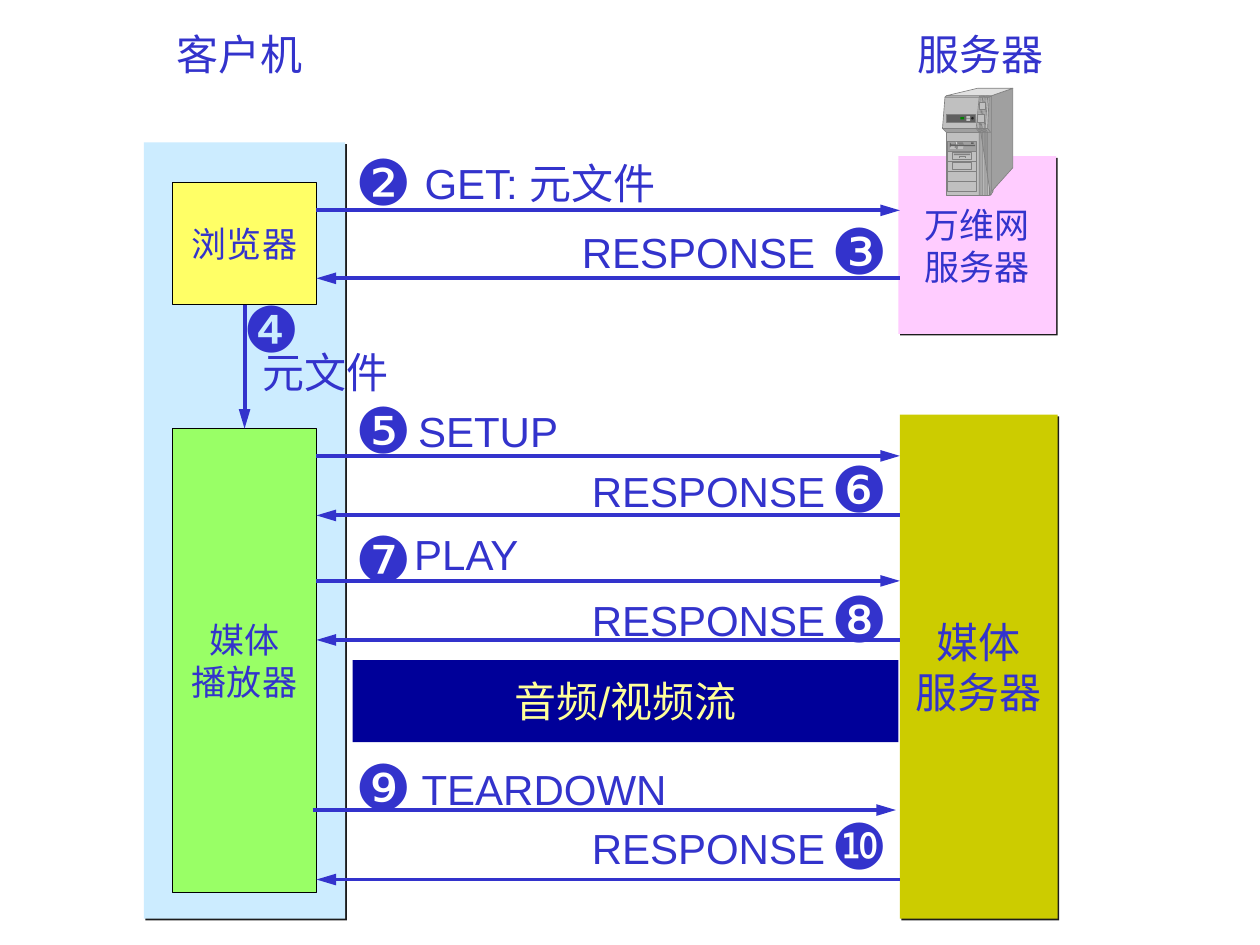
from lxml.etree import SubElement
from pptx import Presentation
from pptx.dml.color import RGBColor
from pptx.enum.shapes import MSO_CONNECTOR, MSO_SHAPE
from pptx.enum.text import MSO_ANCHOR, PP_ALIGN
from pptx.oxml.ns import qn
from pptx.util import Cm, Pt

BLUE = RGBColor(0x33, 0x33, 0xCC)
NAVY = RGBColor(0x00, 0x00, 0x99)
PALE_YELLOW = RGBColor(0xFF, 0xFF, 0x99)
YELLOW = RGBColor(0xFF, 0xFF, 0x66)
SKY = RGBColor(0xCC, 0xEC, 0xFF)
PINK = RGBColor(0xFF, 0xCC, 0xFF)
LIME = RGBColor(0x99, 0xFF, 0x66)
OLIVE = RGBColor(0xCC, 0xCC, 0x00)
BLACK = RGBColor(0x00, 0x00, 0x00)
GREEN = RGBColor(0x00, 0x80, 0x00)
INK = RGBColor(0x20, 0x20, 0x20)
DARK = RGBColor(0x60, 0x60, 0x60)
MID = RGBColor(0x80, 0x80, 0x80)
GRAY = RGBColor(0xA0, 0xA0, 0xA0)
SILVER = RGBColor(0xC0, 0xC0, 0xC0)
LIGHT = RGBColor(0xE0, 0xE0, 0xE0)


def style(sp, fill, line=None, width=0.37):
    """Give a shape its fill and outline, without a shadow."""
    sp.shadow.inherit = False
    if fill is None:
        sp.fill.background()
    else:
        sp.fill.solid()
        sp.fill.fore_color.rgb = fill
    if line is None:
        sp.line.fill.background()
    else:
        sp.line.color.rgb = line
        sp.line.width = Pt(width)


def write(sp, text, size, color=BLUE, align=PP_ALIGN.LEFT):
    """Set and format the text of a shape."""
    tf = sp.text_frame
    tf.text = text
    for p in tf.paragraphs:
        p.alignment = align
        for r in p.runs:
            r.font.name = "Arial"
            r.font.size = Pt(size)
            r.font.color.rgb = color


prs = Presentation()
prs.slide_width, prs.slide_height = Cm(25.4), Cm(19.05)
s = prs.slides.add_slide(prs.slide_layouts[6])

# Client and server blocks: left, top, width, height, fill, outline, shadow, text, size, colour
blocks = [
    (2.9, 2.87, 4.06, 15.65, SKY, None, True, "", 20, BLUE),
    (18.11, 3.15, 3.18, 3.58, PINK, None, True, "万维网\n服务器", 20, BLUE),
    (3.48, 3.68, 2.9, 2.46, YELLOW, BLACK, False, "浏览器", 20, BLUE),
    (3.48, 8.64, 2.9, 9.35, LIME, BLACK, False, "媒体\n播放器", 20, BLUE),
    (18.14, 8.36, 3.18, 10.16, OLIVE, None, True, "媒体\n服务器", 24, BLUE),
    (7.11, 13.31, 11, 1.65, NAVY, None, False, "音频/视频流", 24, PALE_YELLOW),
]
for left, top, width, height, fill, line, shadow, text, size, color in blocks:
    sp = s.shapes.add_shape(MSO_SHAPE.RECTANGLE, Cm(left), Cm(top), Cm(width), Cm(height))
    style(sp, fill, line, 0.74)
    if shadow:
        effects = sp._element.spPr.find(qn("a:effectLst"))
        outer = SubElement(effects, qn("a:outerShdw"), dist=str(Pt(1.4)), dir="2700000",
                           algn="ctr", rotWithShape="0")
        SubElement(outer, qn("a:srgbClr"), val="1C1C1C")
    if text:
        write(sp, text, size, color, PP_ALIGN.CENTER)
        sp.text_frame.word_wrap = False
        sp.text_frame.vertical_anchor = MSO_ANCHOR.MIDDLE

# Server tower, in hundredths of a centimetre from its top left corner
TOWER_X, TOWER_Y = 1900, 178
tower = s.shapes.add_group_shape()
outlines = [
    ([(99, 15), (94, 18), (5, 18), (8, 15)], LIGHT, MID),
    ([(102, 208), (97, 216), (76, 81), (94, 18), (102, 15)], GRAY, MID),
    ([(142, 0), (99, 15), (99, 208), (142, 160)], GRAY, MID),
    ([(99, 15), (8, 15), (71, 0), (142, 0)], LIGHT, MID),
    ([(94, 18), (5, 18), (0, 81), (91, 81)], SILVER, MID),
    ([(97, 89), (8, 89), (0, 81), (91, 81)], GRAY, MID),
]
ridge = [(94, 15), (91, 18), (86, 81), (91, 89), (91, 216)]
outlines += [([(round(x - 2.5 * i), y) for x, y in ridge], None, MID) for i in range(8)]
drive = [
    ([(30, 109), (41, 109), (43, 114), (33, 114)], MID, None),
    ([(15, 122), (41, 122), (43, 114), (18, 114)], SILVER, None),
    ([(15, 112), (30, 112), (30, 114), (18, 114)], MID, None),
    ([(15, 109), (15, 119), (18, 114)], DARK, None),
    ([(28, 107), (30, 109), (30, 122), (28, 122), (28, 114), (25, 109)], LIGHT, MID),
    ([(46, 140), (46, 137), (33, 137), (33, 140)], None, MID),
]
RECT, OVAL = MSO_SHAPE.RECTANGLE, MSO_SHAPE.OVAL
parts = [(RECT, 8, 89, 86, 127, SILVER, MID)]
bays = [(RECT, 10, 107 + 20 * i, 58, 20, SILVER if i else GRAY, MID) for i in range(5)]
slots = [(RECT, 20, top, 38, 13, SILVER, MID) for top in (130, 150)]
details = [
    (RECT, 58, 109, 5, 3, DARK, None),
    (RECT, 15, 114, 51, 3, DARK, None),
    (OVAL, 25, 117, 5, 3, SILVER, MID),
    (RECT, 23, 132, 33, 3, MID, None),
    (RECT, 74, 28, 13, 15, SILVER, MID),
    (RECT, 71, 53, 13, 15, SILVER, MID),
    (RECT, 8, 53, 58, 15, DARK, MID),
    (RECT, 48, 56, 8, 5, SILVER, None),
    (RECT, 48, 61, 8, 5, SILVER, None),
    (RECT, 36, 58, 8, 5, GREEN, None),
    (OVAL, 58, 58, 5, 5, INK, None),
]
for item in parts + outlines + bays + slots + drive + details:
    if len(item) == 3:
        points, fill, line = item
        points = [(TOWER_X + x, TOWER_Y + y) for x, y in points]
        builder = tower.shapes.build_freeform(*points[0], scale=Cm(0.01))
        builder.add_line_segments(points[1:], close=fill is not None)
        sp = builder.convert_to_shape()
    else:
        kind, x, y, width, height, fill, line = item
        sp = tower.shapes.add_shape(kind, Cm((TOWER_X + x) / 100), Cm((TOWER_Y + y) / 100),
                                    Cm(width / 100), Cm(height / 100))
    style(sp, fill, line)

# Messages: number, text, text left, text top, number top, arrow height, arrow shift
messages = [
    ("❷", "GET: 元文件", 8.31, 3.05, 2.74, 4.24, 0),
    ("❸", "RESPONSE", 11.48, 4.45, 4.14, 5.61, 0),
    ("❺", "SETUP", 8.18, 8.05, 7.75, 9.19, 0),
    ("❻", "RESPONSE", 11.68, 9.25, 8.94, 10.39, 0),
    ("❼", "PLAY", 8.1, 10.52, 10.34, 11.71, 0),
    ("❽", "RESPONSE", 11.68, 11.86, 11.56, 12.9, 0),
    ("❾", "TEARDOWN", 8.25, 15.27, 14.94, 16.33, -0.08),
    ("❿", "RESPONSE", 11.68, 16.46, 16.13, 17.73, 0),
]
CLIENT_EDGE, SERVER_EDGE = 6.38, 18.14
arrows = [(4.93, 6.14, 4.93, 8.64)]
labels = [
    ("客户机", 3.3, 0.46, 3.05, 24),
    ("服务器", 18.24, 0.46, 3.05, 24),
    ("❹", 4.65, 5.72, 1.98, 36),
    ("元文件", 5.05, 6.86, 3.05, 24),
]
for number, text, left, top, number_top, y, shift in messages:
    start, end, number_left = CLIENT_EDGE + shift, SERVER_EDGE + shift, 6.91
    if text == "RESPONSE":
        start, end, number_left = end, start, 16.51
    arrows.append((start, y, end, y))
    labels += [(number, number_left, number_top, 1.98, 36), (text, left, top, 5.46, 24)]

for ends in arrows:
    c = s.shapes.add_connector(MSO_CONNECTOR.STRAIGHT, *[Cm(v) for v in ends])
    c.line.color.rgb = BLUE
    c.line.width = Pt(2.24)
    SubElement(c.line._get_or_add_ln(), qn("a:tailEnd"), type="triangle", w="med", len="lg")
    SubElement(c._element.spPr, qn("a:effectLst"))

for text, left, top, width, size in labels:
    sp = s.shapes.add_textbox(Cm(left), Cm(top), Cm(width), Cm(1.78 if size == 36 else 1.27))
    sp.text_frame.word_wrap = True
    sp.text_frame.margin_right = 0
    write(sp, text, size)

prs.save("out.pptx")
